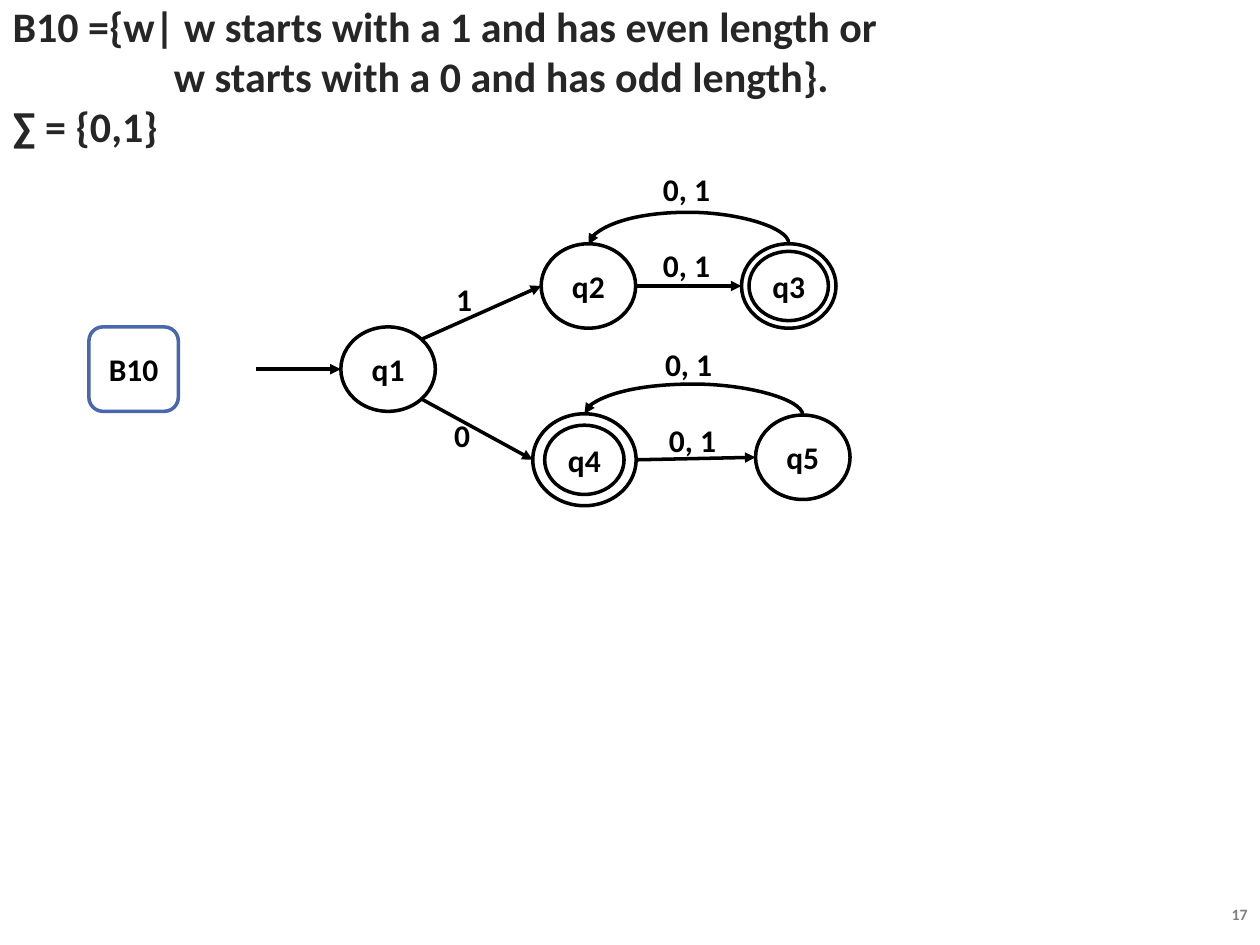
import math

from lxml import etree
from pptx import Presentation
from pptx import util as u
from pptx.dml.color import RGBColor
from pptx.enum import shapes, text
from pptx.oxml import ns

BLACK = RGBColor(0x00, 0x00, 0x00)
WHITE = RGBColor(0xFF, 0xFF, 0xFF)
BLUE = RGBColor(0x4A, 0x66, 0xAC)
DARK = RGBColor(0x26, 0x26, 0x26)
GRAY = RGBColor(0x80, 0x80, 0x80)
FONT = "Calibri"

LANGUAGE = [
    ["B10 ={w| w starts with a 1 and has even length or ",
     "w starts with a 0 and has odd length}."],
    ["∑ = {0,1}"],
]
PAGE = "17"

ORIGIN_X, ORIGIN_Y = 3.08, 2.27
COLUMN, ROW = 1.59, 0.66
STATE = (0.75, 0.67)
OUTER = (0.82, 0.73)
INNER = (0.63, 0.55)
LABEL = (0.65, 0.45)
BADGE = (0.71, 0.67)
LOOP_HEIGHT = 0.25

STATES = {
    "q1": (0, 1, STATE, False),
    "q2": (1, 0, STATE, False),
    "q3": (2, 0, STATE, True),
    "q4": (0.98, 2.09, OUTER, True),
    "q5": (2.07, 2.06, STATE, False),
}
START = (-0.66, 1)
MOVES = [("q1", 45, "q2"), ("q2", 0, "q3"), ("q1", -45, "q4"), ("q4", 0, "q5")]
LOOPS = [("q3", "q2", -0.01), ("q5", "q4", 0.01)]
LABELS = [
    ("1", 0.38, 0.16), ("0", 0.37, 1.79),
    ("0, 1", 1.49, -0.25), ("0, 1", 1.49, -1.17),
    ("0, 1", 1.5, 0.94), ("0, 1", 1.52, 1.85),
]


def center(column, row):
    return ORIGIN_X + column * COLUMN, ORIGIN_Y + row * ROW


def rim(name, degrees):
    column, row, (width, height), _ = STATES[name]
    x, y = center(column, row)
    angle = math.radians(degrees)
    return x + width / 2 * math.cos(angle), y - height / 2 * math.sin(angle)


def box_around(point, size):
    return [u.Inches(v) for v in (point[0] - size[0] / 2, point[1] - size[1] / 2, *size)]


def add_run(paragraph, words, size, color):
    run = paragraph.add_run()
    run.text = words
    run.font.name, run.font.size, run.font.bold = FONT, u.Pt(size), True
    run.font.color.rgb = color


def write(shape, words, size=18, color=BLACK, align=text.PP_ALIGN.CENTER):
    frame = shape.text_frame
    frame.word_wrap = True
    frame.vertical_anchor = text.MSO_ANCHOR.MIDDLE
    frame.paragraphs[0].alignment = align
    add_run(frame.paragraphs[0], words, size, color)


def add_outline(slide, kind, point, size, line=BLACK, fill=WHITE):
    shape = slide.shapes.add_shape(kind, *box_around(point, size))
    shape.shadow.inherit = False
    if fill is None:
        shape.fill.background()
    else:
        shape.fill.solid()
        shape.fill.fore_color.rgb = fill
    shape.line.color.rgb, shape.line.width = line, u.Pt(2)
    return shape


def add_arrow(slide, begin, end, kind=shapes.MSO_CONNECTOR.STRAIGHT):
    arrow = slide.shapes.add_connector(kind, *[u.Inches(v) for v in (*begin, *end)])
    arrow.line.color.rgb, arrow.line.width = BLACK, u.Pt(2)
    properties = arrow._element.spPr
    line = properties.find(ns.qn("a:ln"))
    etree.SubElement(line, ns.qn("a:tailEnd"), type="triangle")
    etree.SubElement(properties, ns.qn("a:effectLst"))
    return arrow


def add_loop(slide, source, target, rise):
    (x1, y1), (x2, y2) = rim(source, 90), rim(target, 90)
    x, y, span = (x1 + x2) / 2, (y1 + y2) / 2, x1 - x2
    loop = add_arrow(slide, (x - rise / 2, y + span / 2), (x + rise / 2, y - span / 2),
                     shapes.MSO_CONNECTOR.CURVE)
    properties = loop._element.spPr
    properties.find(ns.qn("a:xfrm")).set("rot", str(270 * 60000))
    geometry = properties.find(ns.qn("a:prstGeom"))
    adjustments = geometry.find(ns.qn("a:avLst"))
    if adjustments is None:
        adjustments = etree.SubElement(geometry, ns.qn("a:avLst"))
    bend = round(LOOP_HEIGHT / rise * 100000)
    etree.SubElement(adjustments, ns.qn("a:gd"), name="adj1", fmla=f"val {bend}")


def add_language(slide):
    slide.shapes.title._element.getparent().remove(slide.shapes.title._element)
    body = slide.placeholders[1]
    body.left, body.top, body.width, body.height = [u.Inches(v) for v in (0, 0, 9.1, 1.2)]
    frame = body.text_frame
    frame.auto_size = text.MSO_AUTO_SIZE.NONE
    frame.vertical_anchor = text.MSO_ANCHOR.MIDDLE
    for index, lines in enumerate(LANGUAGE):
        paragraph = frame.add_paragraph() if index else frame.paragraphs[0]
        paragraph.space_before = paragraph.space_after = u.Pt(0)
        paragraph.line_spacing = 1.0
        properties = paragraph._p.get_or_add_pPr()
        properties.set("marL", str(u.Inches(1.28)))
        properties.set("indent", str(u.Inches(-1.28)))
        etree.SubElement(properties, ns.qn("a:buNone"))
        for number, words in enumerate(lines):
            if number:
                paragraph.add_line_break()
            add_run(paragraph, words, 24, DARK)


def main():
    presentation = Presentation()
    presentation.slide_width, presentation.slide_height = u.Inches(10), u.Inches(7.5)
    slide = presentation.slides.add_slide(presentation.slide_layouts[1])
    add_language(slide)

    badge = add_outline(slide, shapes.MSO_SHAPE.ROUNDED_RECTANGLE,
                        center(-1.27, 1), BADGE, line=BLUE)
    write(badge, "B10")
    for name, (column, row, size, accepting) in STATES.items():
        point = center(column, row)
        write(add_outline(slide, shapes.MSO_SHAPE.OVAL, point, size), name)
        if accepting:
            add_outline(slide, shapes.MSO_SHAPE.OVAL, point, INNER, fill=None)

    add_arrow(slide, center(*START), rim("q1", 180))
    for source, degrees, target in MOVES:
        add_arrow(slide, rim(source, degrees), rim(target, 180))
    for source, target, rise in LOOPS:
        add_loop(slide, source, target, rise)
    for words, column, row in LABELS:
        write(slide.shapes.add_textbox(*box_around(center(column, row), LABEL)), words)

    page = slide.shapes.add_textbox(*[u.Inches(v) for v in (8.73, 7.13, 1.27, 0.25)])
    write(page, PAGE, 9, GRAY, text.PP_ALIGN.RIGHT)
    presentation.save("out.pptx")


if __name__ == "__main__":
    main()
